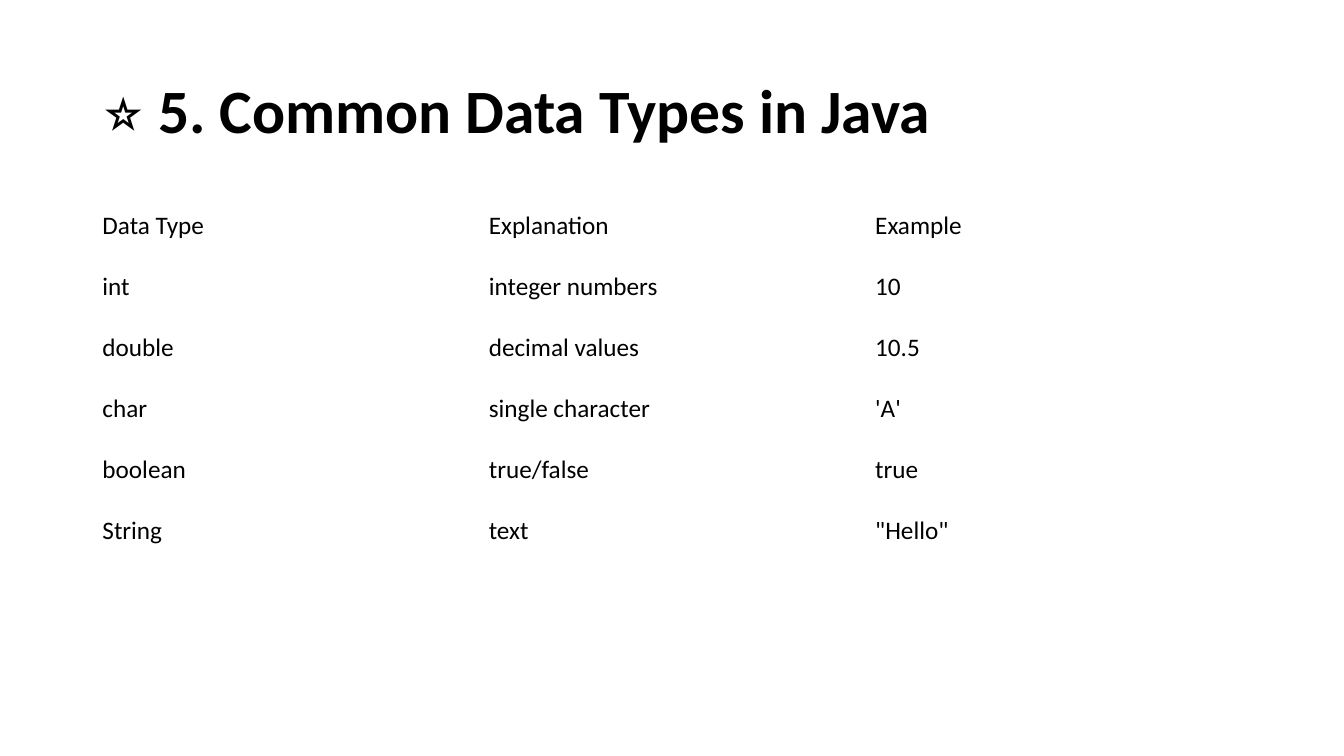
from pptx import Presentation
from pptx.dml.color import RGBColor
from pptx.enum.text import MSO_ANCHOR
from pptx.util import Pt

MIDDLE = MSO_ANCHOR.MIDDLE
BLACK = RGBColor(0x00, 0x00, 0x00)
FONT = "Calibri"
LEFT, WIDTH = 66, 828
TABLE_TOP, ROW_HEIGHT = 139.7, 43.6

DATA_TYPES = [
    ("Data Type", "Explanation", "Example"),
    ("int", "integer numbers", "10"),
    ("double", "decimal values", "10.5"),
    ("char", "single character", "'A'"),
    ("boolean", "true/false", "true"),
    ("String", "text", '"Hello"'),
]


def format_span(span, size, bold=False):
    span.font.name = FONT
    span.font.size = Pt(size)
    span.font.bold = bold
    span.font.color.rgb = BLACK


deck = Presentation()
deck.slide_width, deck.slide_height = Pt(960), Pt(540)
page = deck.slides.add_slide(deck.slide_layouts[6])

# Title
title_box = page.shapes.add_textbox(Pt(LEFT), Pt(28.75), Pt(WIDTH), Pt(104.4))
title_frame = title_box.text_frame
title_frame.word_wrap = True
title_frame.vertical_anchor = MIDDLE
title_para = title_frame.paragraphs[0]
title_para.line_spacing = 0.9
for text, bold in [("⭐ ", False), ("5. Common Data Types in Java", True)]:
    span = title_para.add_run()
    span.text = text
    format_span(span, 44, bold)

# Table of data types, without fills or banding
row_count, column_count = len(DATA_TYPES), len(DATA_TYPES[0])
table = page.shapes.add_table(
    row_count, column_count, Pt(LEFT), Pt(TABLE_TOP),
    Pt(WIDTH), Pt(ROW_HEIGHT * row_count)).table
table.first_row = False
table.horz_banding = False
for row_index, row_texts in enumerate(DATA_TYPES):
    for column_index, text in enumerate(row_texts):
        cell = table.cell(row_index, column_index)
        cell.fill.background()
        cell.vertical_anchor = MIDDLE
        para = cell.text_frame.paragraphs[0]
        para.text = text
        format_span(para.runs[0], 18)

deck.save("out.pptx")
